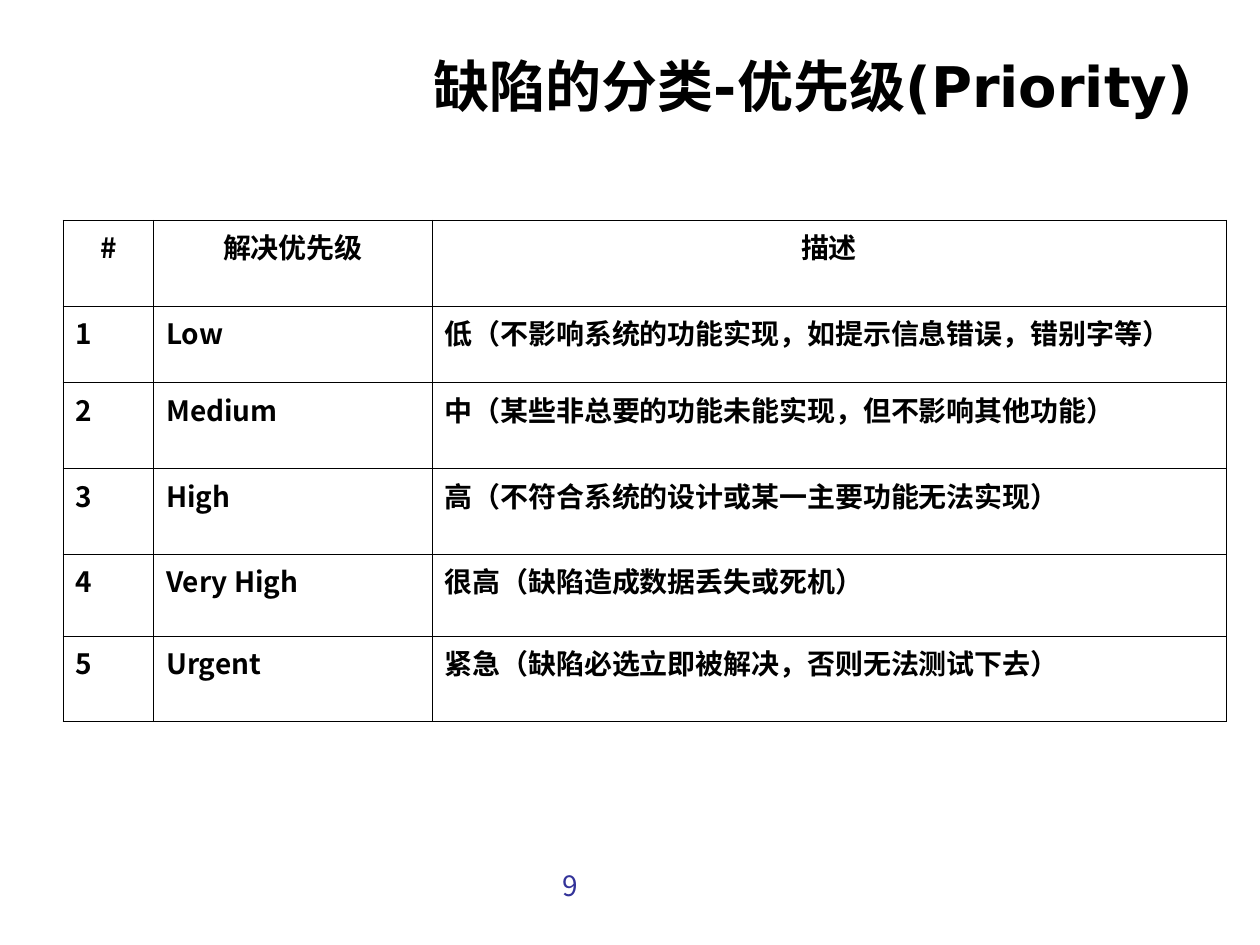
import pptx
import pptx.util
import pptx.dml.color
import pptx.enum.text
import pptx.oxml.ns
from lxml import etree

SLIDE_WIDTH = pptx.util.Inches(10)
SLIDE_HEIGHT = pptx.util.Inches(7.5)

BLACK = pptx.dml.color.RGBColor(0x00, 0x00, 0x00)
PAGE_BLUE = pptx.dml.color.RGBColor(0x33, 0x33, 0x99)

TITLE_FONT = "DejaVu Sans"
BODY_FONT = "Noto Sans CJK SC"
ALIGN = pptx.enum.text.PP_ALIGN

# Table grid, in inches
COLUMN_WIDTHS = [0.72, 2.21, 6.3]
ROW_HEIGHTS = [0.68, 0.61, 0.68, 0.68, 0.65, 0.68]
HANGING_INDENT = pptx.util.Inches(0.51)
BORDER_WIDTH = pptx.util.Pt(0.45)

HEADINGS = ["#", "解决优先级", "描述"]
PRIORITIES = [
    ("Low", "低（不影响系统的功能实现，如提示信息错误，错别字等）"),
    ("Medium", "中（某些非总要的功能未能实现，但不影响其他功能）"),
    ("High", "高（不符合系统的设计或某一主要功能无法实现）"),
    ("Very High", "很高（缺陷造成数据丢失或死机）"),
    ("Urgent", "紧急（缺陷必选立即被解决，否则无法测试下去）"),
]


def across(share):
    return round(SLIDE_WIDTH * share)


def down(share):
    return round(SLIDE_HEIGHT * share)


def add_element(parent, tag, **attributes):
    return etree.SubElement(parent, pptx.oxml.ns.qn(tag), **attributes)


def write_text(frame, text, size=16, font=BODY_FONT, color=BLACK,
               bold=False, align=ALIGN.LEFT, hanging=0):
    frame.word_wrap = True
    paragraph = frame.paragraphs[0]
    paragraph.alignment = align
    if hanging:
        properties = paragraph._p.get_or_add_pPr()
        properties.set("marL", str(hanging))
        properties.set("indent", str(-hanging))
    run = paragraph.add_run()
    run.text = text
    run.font.size = pptx.util.Pt(size)
    run.font.bold = bold
    run.font.color.rgb = color
    run.font.name = font
    # Chinese characters take their own font slot
    add_element(run._r.get_or_add_rPr(), "a:ea", typeface=BODY_FONT)


def add_text(slide, text, left, top, width, height, **text_format):
    box = slide.shapes.add_textbox(across(left), down(top), across(width), down(height))
    write_text(box.text_frame, text, **text_format)


def outline_cell(cell):
    properties = cell._tc.get_or_add_tcPr()
    for side in ("a:lnL", "a:lnR", "a:lnT", "a:lnB"):
        line = add_element(properties, side, w=str(BORDER_WIDTH))
        fill = add_element(line, "a:solidFill")
        add_element(fill, "a:srgbClr", val=str(BLACK))


def add_priority_table(slide, left, top):
    rows = [HEADINGS] + [
        (str(number), level, description)
        for number, (level, description) in enumerate(PRIORITIES, 1)
    ]
    table = slide.shapes.add_table(
        len(rows), len(HEADINGS), across(left), down(top),
        pptx.util.Inches(sum(COLUMN_WIDTHS)), pptx.util.Inches(sum(ROW_HEIGHTS)),
    ).table
    table.first_row = table.horz_banding = False
    for column, width in zip(table.columns, COLUMN_WIDTHS):
        column.width = pptx.util.Inches(width)

    for row_index, (row, height) in enumerate(zip(rows, ROW_HEIGHTS)):
        table.rows[row_index].height = pptx.util.Inches(height)
        align = ALIGN.CENTER if row_index == 0 else ALIGN.LEFT
        for column_index, text in enumerate(row):
            cell = table.cell(row_index, column_index)
            outline_cell(cell)
            cell.fill.background()
            write_text(cell.text_frame, text, bold=True, align=align,
                       hanging=HANGING_INDENT)


def main():
    deck = pptx.Presentation()
    deck.slide_width = SLIDE_WIDTH
    deck.slide_height = SLIDE_HEIGHT
    slide = deck.slides.add_slide(deck.slide_layouts[6])

    # Title
    add_text(slide, "缺陷的分类-优先级(Priority)", 0.057, 0.048, 0.9, 0.137,
             size=32, font=TITLE_FONT, bold=True, align=ALIGN.RIGHT)

    # Priority levels
    add_priority_table(slide, 0.05, 0.233)

    # Page number
    add_text(slide, "9", 0.437, 0.913, 0.11, 0.069, color=PAGE_BLUE)

    deck.save("out.pptx")


if __name__ == "__main__":
    main()
